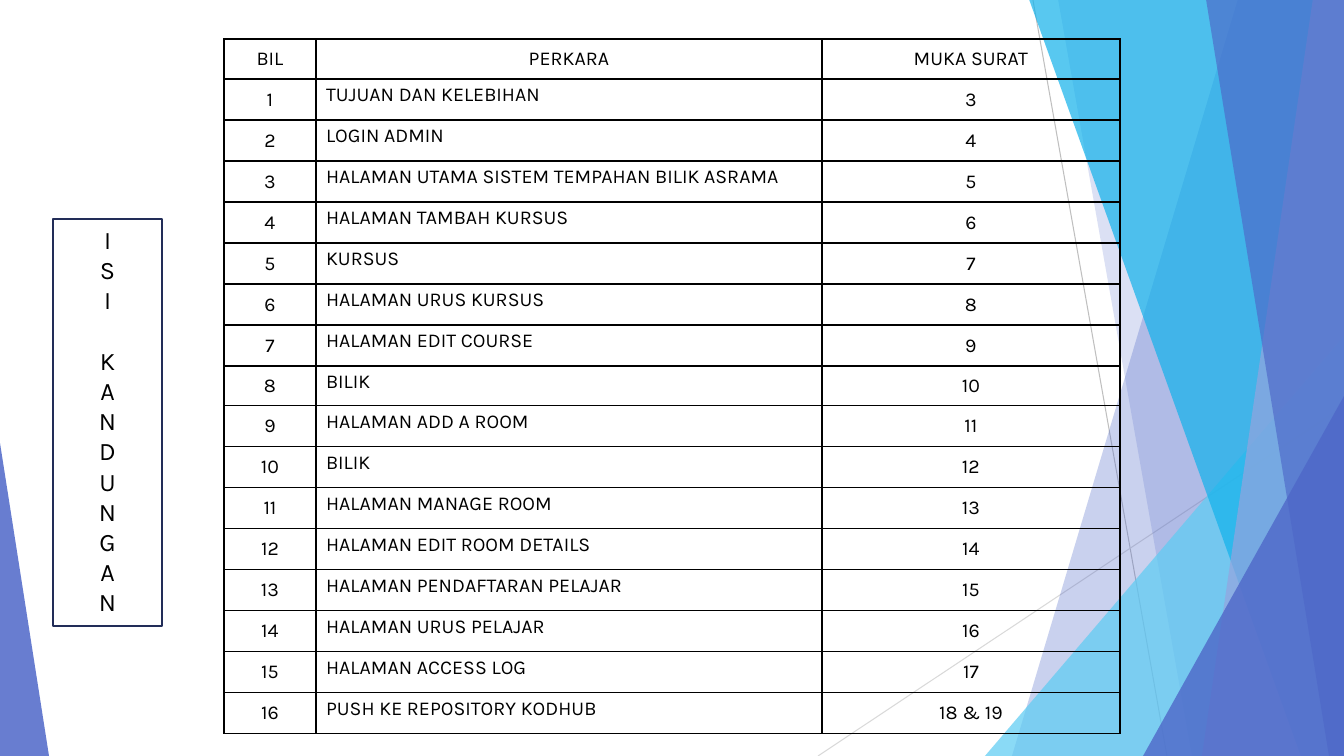
from dataclasses import dataclass
from typing import NamedTuple

from lxml.etree import SubElement
from pptx import Presentation
from pptx.dml.color import RGBColor
from pptx.enum.shapes import MSO_CONNECTOR, MSO_SHAPE
from pptx.enum.text import MSO_ANCHOR, MSO_AUTO_SIZE, PP_ALIGN
from pptx.oxml import parse_xml
from pptx.oxml.ns import nsdecls, qn
from pptx.shapes.autoshape import Shape
from pptx.slide import Slide
from pptx.table import _Cell
from pptx.text.text import _Paragraph
from pptx.util import Emu, Pt

EMU_PER_PX = 914400 / 100.8
SLIDE_W, SLIDE_H = 1344, 756


@dataclass(frozen=True)
class Theme:
    font: str = "Karla"
    text: str = "000000"
    frame: str = "222D58"
    indigo: str = "4E67C8"
    lavender: str = "95A4DE"
    azure: str = "12B2EB"
    sky: str = "5ECCF3"
    gray: str = "BFBFBF"
    light_gray: str = "D9D9D9"
    title_pt: float = 18
    title_gap_pt: float = 21.6
    table_pt: float = 14
    grid_pt: float = 1
    frame_pt: float = 1.5
    ray_pt: float = 0.75


THEME = Theme()


class Ray(NamedTuple):
    x1: int
    y1: int
    x2: int
    y2: int
    color: str


class Pane(NamedTuple):
    """Full-height band between a slanted left edge and the slide's right edge."""
    top_x: int
    bottom_x: int
    color: str
    opacity: int


class Wedge(NamedTuple):
    """Triangle standing on the slide's bottom edge; apex is 0 (left) or 1 (right)."""
    left: int
    top: int
    width: int
    apex: int
    color: str
    opacity: int


RAYS = [
    Ray(1033, 0, 1167, SLIDE_H, THEME.gray),
    Ray(SLIDE_W, 406, 818, SLIDE_H, THEME.light_gray),
]
FACETS: list[Pane | Wedge] = [
    Pane(1238, 1012, THEME.indigo, 30),
    Pane(1058, 1192, THEME.indigo, 20),
    Wedge(985, 336, 359, 1, THEME.sky, 72),
    Pane(1029, 1301, THEME.azure, 70),
    Pane(1313, 1202, THEME.lavender, 70),
    Pane(1206, 1329, THEME.indigo, 65),
    Wedge(1143, 396, 201, 1, THEME.indigo, 80),
    Wedge(0, 443, 49, 0, THEME.indigo, 85),
]

TITLE_WORDS = ("ISI", "KANDUNGAN")
HEADER = ("BIL", "PERKARA", "MUKA SURAT")
TOPICS = [
    "TUJUAN DAN KELEBIHAN",
    "LOGIN ADMIN",
    "HALAMAN UTAMA SISTEM TEMPAHAN BILIK ASRAMA",
    "HALAMAN TAMBAH KURSUS",
    "KURSUS",
    "HALAMAN URUS KURSUS",
    "HALAMAN EDIT COURSE",
    "BILIK",
    "HALAMAN ADD A ROOM",
    "BILIK",
    "HALAMAN MANAGE ROOM",
    "HALAMAN EDIT ROOM DETAILS",
    "HALAMAN PENDAFTARAN PELAJAR",
    "HALAMAN URUS PELAJAR",
    "HALAMAN ACCESS LOG",
    "PUSH KE REPOSITORY KODHUB",
]
FIRST_PAGE = 3
LAST_PAGES = "18 & 19"
TABLE_LEFT, TABLE_TOP, TABLE_H = 224, 39, 695
COLUMN_WIDTHS = (92, 506, 298)


def px(n: int) -> Emu:
    return Emu(round(n * EMU_PER_PX))


def rgb(color: str) -> RGBColor:
    return RGBColor.from_string(color)


def add_run(p: _Paragraph, text: str, size: float) -> None:
    r = p.add_run()
    r.text = text
    r.font.name = THEME.font
    r.font.size = Pt(size)
    r.font.color.rgb = rgb(THEME.text)


def add_ray(s: Slide, ray: Ray) -> None:
    line = s.shapes.add_connector(
        MSO_CONNECTOR.STRAIGHT, px(ray.x1), px(ray.y1), px(ray.x2), px(ray.y2))
    line.line.color.rgb = rgb(ray.color)
    line.line.width = Pt(THEME.ray_pt)
    SubElement(line._element.spPr, qn("a:effectLst"))


def pane_shape(s: Slide, pane: Pane) -> Shape:
    builder = s.shapes.build_freeform(pane.top_x, -1, scale=EMU_PER_PX)
    builder.add_line_segments(
        [(SLIDE_W, -1), (SLIDE_W, SLIDE_H), (pane.bottom_x, SLIDE_H)], close=True)
    return builder.convert_to_shape()


def wedge_shape(s: Slide, wedge: Wedge) -> Shape:
    sp = s.shapes.add_shape(
        MSO_SHAPE.ISOSCELES_TRIANGLE, px(wedge.left), px(wedge.top),
        px(wedge.width), px(SLIDE_H - wedge.top))
    sp.adjustments[0] = wedge.apex
    return sp


def add_facet(s: Slide, facet: Pane | Wedge) -> None:
    sp = pane_shape(s, facet) if isinstance(facet, Pane) else wedge_shape(s, facet)
    sp.shadow.inherit = False
    sp.fill.solid()
    sp.fill.fore_color.rgb = rgb(facet.color)
    clr = sp._element.spPr.find(qn("a:solidFill")).find(qn("a:srgbClr"))
    SubElement(clr, qn("a:alpha")).set("val", str(facet.opacity * 1000))
    sp.line.fill.background()


def add_borders(cell: _Cell) -> None:
    tc_pr = cell._tc.get_or_add_tcPr()
    for i, side in enumerate("LRTB"):
        tc_pr.insert(i, parse_xml(
            f'<a:ln{side} {nsdecls("a")} w="{Pt(THEME.grid_pt)}"><a:solidFill>'
            f'<a:srgbClr val="{THEME.text}"/></a:solidFill></a:ln{side}>'))


def add_contents_table(s: Slide) -> None:
    pages = [str(FIRST_PAGE + i) for i in range(len(TOPICS) - 1)] + [LAST_PAGES]
    numbers = [str(i + 1) for i in range(len(TOPICS))]
    rows = [HEADER, *zip(numbers, TOPICS, pages)]
    table = s.shapes.add_table(
        len(rows), len(HEADER), px(TABLE_LEFT), px(TABLE_TOP),
        px(sum(COLUMN_WIDTHS)), px(TABLE_H)).table
    table.first_row = table.horz_banding = False
    for column, width in zip(table.columns, COLUMN_WIDTHS):
        column.width = px(width)
    edges = [TABLE_H * i // len(rows) for i in range(len(rows) + 1)]
    for i, row in enumerate(rows):
        table.rows[i].height = px(edges[i + 1] - edges[i])
        for j, text in enumerate(row):
            cell = table.cell(i, j)
            cell.fill.background()
            add_borders(cell)
            p = cell.text_frame.paragraphs[0]
            if i == 0 or j != 1:
                cell.vertical_anchor = MSO_ANCHOR.MIDDLE
                p.alignment = PP_ALIGN.CENTER
            add_run(p, text, THEME.table_pt)


def add_vertical_title(s: Slide) -> None:
    """Framed title with one letter per line and a line's gap between words."""
    box = s.shapes.add_textbox(px(53), px(219), px(109), px(407))
    box.line.color.rgb = rgb(THEME.frame)
    box.line.width = Pt(THEME.frame_pt)
    tf = box.text_frame
    tf.word_wrap = True
    tf.auto_size = MSO_AUTO_SIZE.SHAPE_TO_FIT_TEXT
    for w, word in enumerate(TITLE_WORDS):
        for i, letter in enumerate(word):
            p = tf.paragraphs[0] if w == i == 0 else tf.add_paragraph()
            p.alignment = PP_ALIGN.CENTER
            if w > 0 and i == 0:
                p.space_before = Pt(THEME.title_gap_pt)
            add_run(p, letter, THEME.title_pt)


def main() -> None:
    prs = Presentation()
    prs.slide_width, prs.slide_height = px(SLIDE_W), px(SLIDE_H)
    s = prs.slides.add_slide(prs.slide_layouts[6])
    for ray in RAYS:
        add_ray(s, ray)
    for facet in FACETS:
        add_facet(s, facet)
    add_contents_table(s)
    add_vertical_title(s)
    prs.save("out.pptx")


if __name__ == "__main__":
    main()
